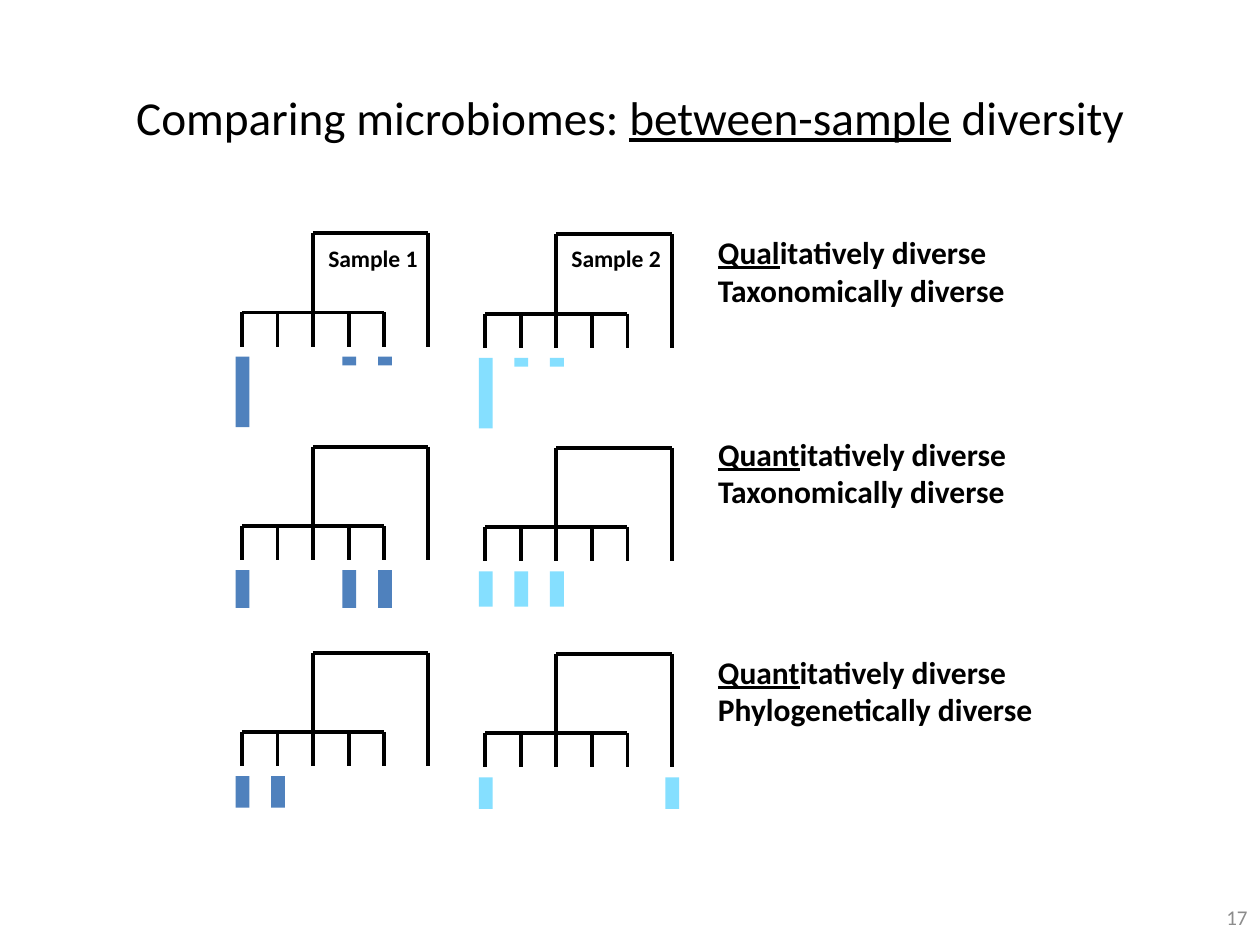
"""Build a slide comparing between-sample diversity of microbiomes on small trees."""
import pptx
import pptx.dml.color
import pptx.enum.shapes
import pptx.enum.text
import pptx.oxml.ns
import pptx.util
from lxml import etree

ALIGN = pptx.enum.text.PP_ALIGN
ANCHOR = pptx.enum.text.MSO_ANCHOR
INCH = pptx.util.Inches

THEME = {
    "font": "Calibri",
    "ink": "000000",
    "muted": "8C8C8C",
    "samples": ("4F81BD", "85DFFF"),
    "title": 27,
    "body": 18,
    "label": 13.5,
    "number": 12,
    "line": 2.25,
}

TITLE = [[("Comparing microbiomes: ", False), ("between-sample", True), (" diversity", False)]]
NUMBER = [[("17", False)]]
SAMPLES = ["Sample 1", "Sample 2"]
ROWS = [
    {"top": 1.85, "text_top": 1.8, "width": 2.84,
     "text": [[("Qual", True), ("itatively diverse", False)], [("Taxonomically diverse", False)]],
     "bars": [(0.56, 0, 0, 0.07, 0.07, 0), (0.56, 0.07, 0.07, 0, 0, 0)]},
    {"top": 3.545, "text_top": 3.4, "width": 3.05,
     "text": [[("Quant", True), ("itatively diverse", False)], [("Taxonomically diverse", False)]],
     "bars": [(0.3, 0, 0, 0.3, 0.3, 0), (0.28, 0.28, 0.28, 0, 0, 0)]},
    {"top": 5.18, "text_top": 5.13, "width": 3.23,
     "text": [[("Quant", True), ("itatively diverse", False)], [("Phylogenetically diverse", False)]],
     "bars": [(0.25, 0.25, 0, 0, 0, 0), (0.25, 0, 0, 0, 0, 0.25)]},
]

TREE_LEFT, TREE_STEP, TREE_DROP = 1.92, 1.93, 0.01
LEAVES = [0.2825 * i for i in range(5)] + [1.48]
FORK, TIP, BAR_TOP, BAR_WIDTH = 0.63, 0.9, 0.98, 0.11
TEXT_LEFT = 5.6


def color(value):
    return pptx.dml.color.RGBColor.from_string(value)


def write(tf, paragraphs, size, ink=THEME["ink"], bold=False, align=ALIGN.LEFT, anchor=ANCHOR.TOP):
    tf.word_wrap = True
    tf.vertical_anchor = anchor
    for i, runs in enumerate(paragraphs):
        p = tf.paragraphs[0] if i == 0 else tf.add_paragraph()
        p.alignment = align
        for text, underline in runs:
            r = p.add_run()
            r.text = text
            style = {"name": THEME["font"], "size": pptx.util.Pt(size), "bold": bold, "underline": underline}
            for key, value in style.items():
                setattr(r.font, key, value)
            r.font.color.rgb = color(ink)


def add_text(s, box, paragraphs, size, **style):
    write(s.shapes.add_textbox(*map(INCH, box)).text_frame, paragraphs, size, **style)


def add_line(group, x1, y1, x2, y2):
    straight = pptx.enum.shapes.MSO_CONNECTOR.STRAIGHT
    sp = group.shapes.add_connector(straight, *map(INCH, (x1, y1, x2, y2)))
    sp.line.width = pptx.util.Pt(THEME["line"])
    sp.line.color.rgb = color(THEME["ink"])
    etree.SubElement(sp._element.spPr, pptx.oxml.ns.qn("a:effectLst"))


def add_bar(group, x, y, height, fill):
    rectangle = pptx.enum.shapes.MSO_SHAPE.RECTANGLE
    sp = group.shapes.add_shape(rectangle, *map(INCH, (x, y, BAR_WIDTH, height)))
    sp.shadow.inherit = False
    sp.fill.solid()
    sp.fill.fore_color.rgb = color(fill)
    sp.line.fill.background()


def add_tree(s, left, top, heights, fill):
    group = s.shapes.add_group_shape()
    leaves = [left + x for x in LEAVES]
    first, root, last, outgroup = leaves[0], leaves[2], leaves[4], leaves[5]
    fork, tip = top + FORK, top + TIP
    add_line(group, root, top, root, fork)
    add_line(group, last, fork, first, fork)
    for x in leaves[:5]:
        add_line(group, x, fork, x, tip)
    add_line(group, outgroup, top, outgroup, tip)
    add_line(group, outgroup, top, root, top)
    for x, height in zip(leaves, heights):
        if height:
            add_bar(group, x - 0.05, top + BAR_TOP, height, fill)


def main():
    prs = pptx.Presentation()
    prs.slide_width, prs.slide_height = INCH(10), INCH(7.5)
    s = prs.slides.add_slide(prs.slide_layouts[5])
    title = s.shapes.title
    frame = {"left": 0.5, "top": 0.3, "width": 9, "height": 1.25}
    for key, value in frame.items():
        setattr(title, key, INCH(value))
    write(title.text_frame, TITLE, THEME["title"], align=ALIGN.CENTER, anchor=ANCHOR.MIDDLE)

    for row in ROWS:
        for i, (heights, fill) in enumerate(zip(row["bars"], THEME["samples"])):
            add_tree(s, TREE_LEFT + i * TREE_STEP, row["top"] + i * TREE_DROP, heights, fill)
        add_text(s, (TEXT_LEFT, row["text_top"], row["width"], 0.71), row["text"], THEME["body"], bold=True)
    for i, name in enumerate(SAMPLES):
        add_text(s, (2.39 + i * TREE_STEP, 1.89, 1.14, 0.33), [[(name, False)]], THEME["label"],
                 bold=True, align=ALIGN.CENTER)
    add_text(s, (7.67, 7.08, 2.33, 0.4), NUMBER, THEME["number"], ink=THEME["muted"],
             align=ALIGN.RIGHT, anchor=ANCHOR.MIDDLE)
    prs.save("out.pptx")


if __name__ == "__main__":
    main()
